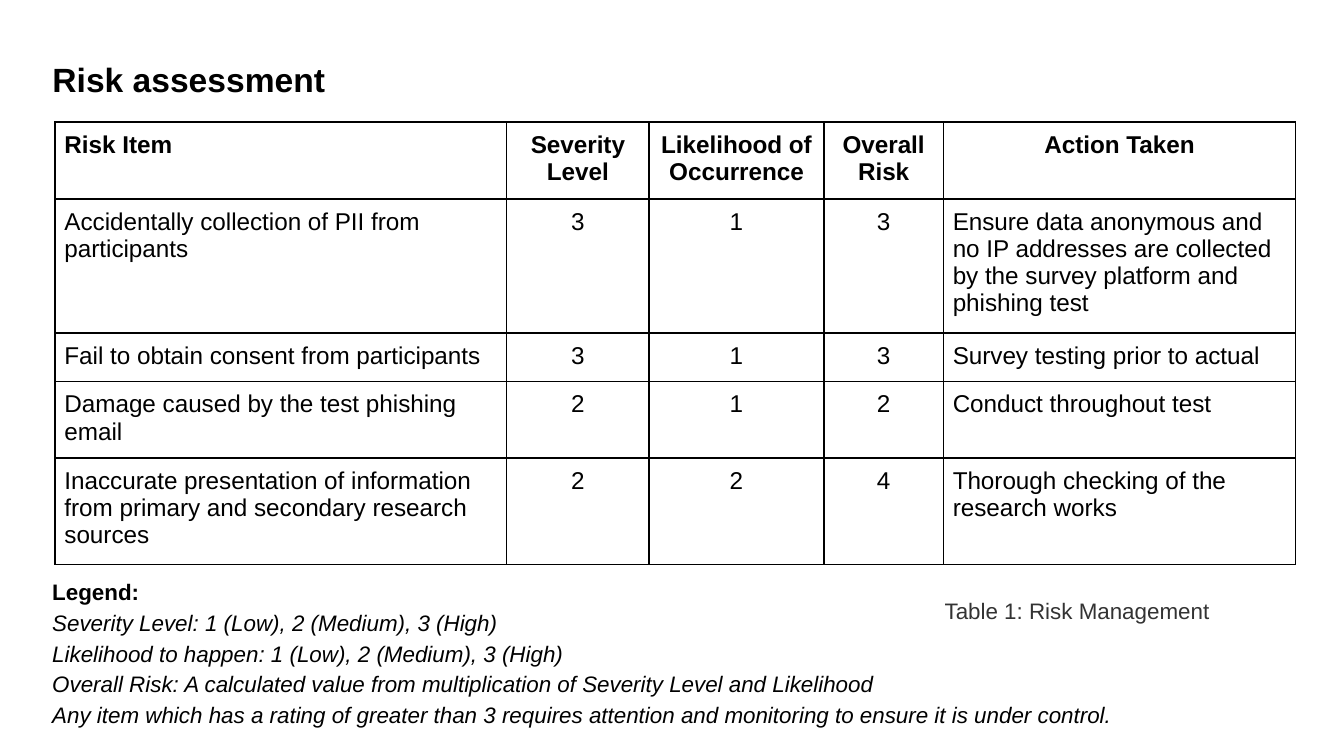
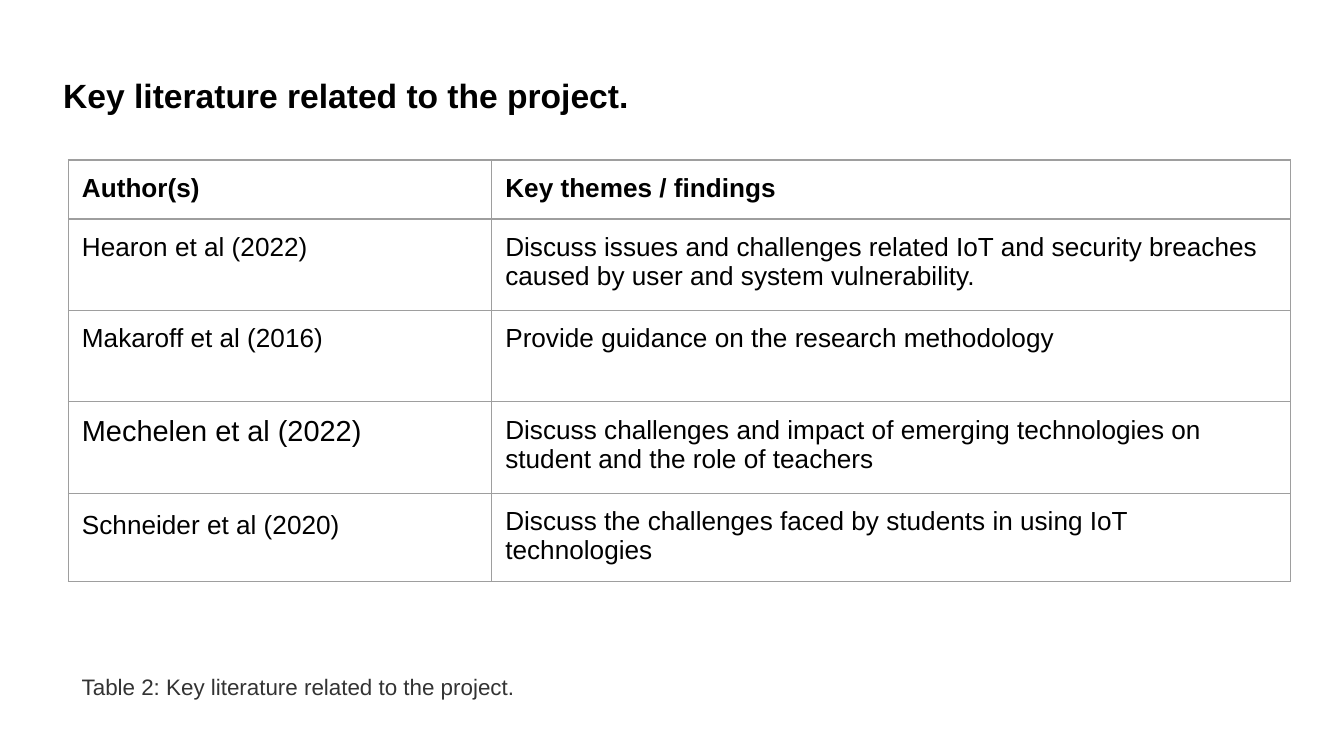
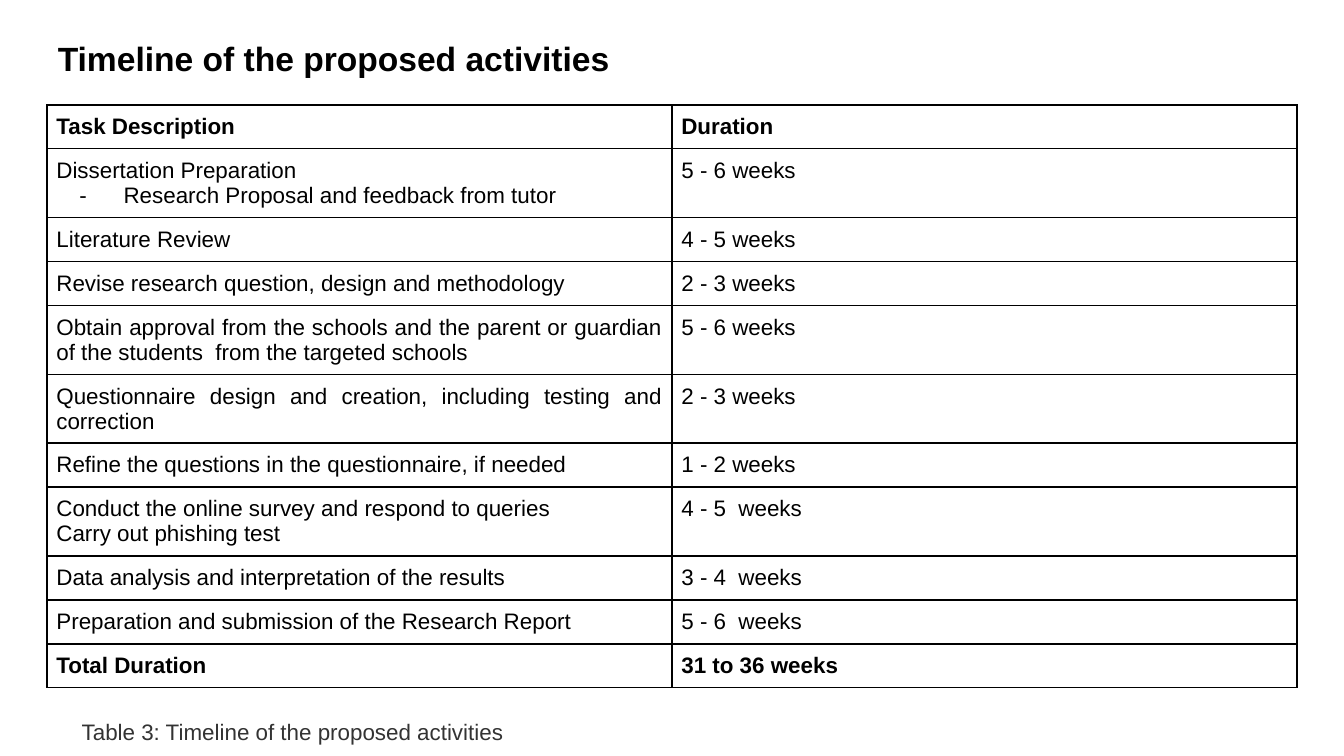
from lxml.etree import SubElement
from pptx import Presentation
from pptx.dml.color import RGBColor
from pptx.enum.text import MSO_ANCHOR as ANCHOR, MSO_AUTO_SIZE as AUTO, PP_ALIGN as AL
from pptx.oxml.ns import qn
from pptx.util import Inches, Pt

FONT = "Arial"
BLACK = RGBColor(0x00, 0x00, 0x00)
CAPTION_GREY = RGBColor(0x33, 0x33, 0x33)
BORDER_GREY = RGBColor(0x9E, 0x9E, 0x9E)
PADDING = 0.1
LINE_SPACING = 1.15

RISKS = [
    ("Risk Item", "Severity\nLevel", "Likelihood of Occurrence", "Overall Risk", "Action Taken"),
    ("Accidentally collection of PII from participants", "3", "1", "3",
     "Ensure data anonymous and no IP addresses are collected by the survey platform "
     "and phishing test"),
    ("Fail to obtain consent from participants", "3", "1", "3", "Survey testing prior to actual"),
    ("Damage caused by the test phishing email", "2", "1", "2", "Conduct throughout test"),
    ("Inaccurate presentation of information from primary and secondary research sources",
     "2", "2", "4", "Thorough checking of the research works"),
]
LEGEND = [
    "Legend:",
    "Severity Level: 1 (Low), 2 (Medium), 3 (High)",
    "Likelihood to happen: 1 (Low), 2 (Medium), 3 (High)",
    "Overall Risk: A calculated value from multiplication of Severity Level and Likelihood",
    "Any item which has a rating of greater than 3 requires attention and monitoring "
    "to ensure it is under control.",
]
LITERATURE = [
    ("Author(s)", "Key themes / findings"),
    ("Hearon et al (2022)",
     "Discuss issues and challenges related IoT and security breaches caused by user "
     "and system vulnerability."),
    ("Makaroff et al (2016)", "Provide guidance on the research methodology"),
    ("Mechelen et al (2022)",
     "Discuss challenges and impact of emerging technologies on  student and the role of teachers"),
    ("Schneider et al (2020)",
     "Discuss the challenges faced by students in using IoT technologies"),
]
TIMELINE = [
    ("Task Description", "Duration"),
    ("Dissertation Preparation\nResearch Proposal and feedback from tutor", "5 - 6 weeks"),
    ("Literature Review", "4 - 5 weeks"),
    ("Revise research question, design and methodology", "2 - 3 weeks"),
    ("Obtain approval from the schools and the parent or guardian of the students  "
     "from the targeted schools", "5 - 6 weeks"),
    ("Questionnaire design and creation, including testing and correction", "2 - 3 weeks"),
    ("Refine the questions in the questionnaire, if needed", "1 - 2 weeks"),
    ("Conduct the online survey and respond to queries\nCarry out phishing test", "4 - 5  weeks"),
    ("Data analysis and interpretation of the results", "3 - 4  weeks"),
    ("Preparation and submission of the Research Report", "5 - 6  weeks"),
    ("Total Duration", "31 to 36 weeks"),
]


def format_text(tf, size, color=BLACK, bold=False, align=AL.LEFT, spacing=None):
    for p in tf.paragraphs:
        p.alignment = align
        if spacing:
            p.line_spacing = spacing
        for r in p.runs:
            r.font.name = FONT
            r.font.size = Pt(size)
            r.font.bold = bold
            r.font.color.rgb = color


def set_frame(tf, anchor=ANCHOR.TOP):
    tf.word_wrap = True
    tf.auto_size = AUTO.NONE
    tf.vertical_anchor = anchor
    tf.margin_left = tf.margin_right = tf.margin_top = tf.margin_bottom = Inches(PADDING)


def add_titled_slide(prs, text, box, anchor=ANCHOR.TOP):
    s = prs.slides.add_slide(prs.slide_layouts[5])
    title = s.shapes.title
    title.left, title.top, title.width, title.height = map(Inches, box)
    tf = title.text_frame
    tf.text = text
    set_frame(tf, anchor)
    format_text(tf, 18, bold=True, align=AL.JUSTIFY, spacing=LINE_SPACING)
    return s


def add_text(s, text, box, **style):
    tf = s.shapes.add_textbox(*map(Inches, box)).text_frame
    tf.text = text
    set_frame(tf)
    format_text(tf, 12, **style)
    return tf


def add_caption(s, text, box):
    add_text(s, text, box, color=CAPTION_GREY)


def set_borders(cell, color, width):
    tc_pr = cell._tc.get_or_add_tcPr()
    for side in ("a:lnL", "a:lnR", "a:lnT", "a:lnB"):
        ln = SubElement(tc_pr, qn(side), w=str(Pt(width)))
        fill = SubElement(ln, qn("a:solidFill"))
        SubElement(fill, qn("a:srgbClr"), val=str(color))


def add_dash(p):
    p_pr = p._p.get_or_add_pPr()
    p_pr.set("marL", str(Inches(0.5)))
    p_pr.set("indent", str(-Inches(0.33)))
    SubElement(p_pr, qn("a:buFont"), typeface=FONT)
    SubElement(p_pr, qn("a:buChar"), char="-")


def add_grid(s, rows, origin, widths, heights, size, padding, border=BLACK, line=1,
             align=AL.LEFT, bold_rows=(0,)):
    left, top = origin
    frame = s.shapes.add_table(len(rows), len(widths), Inches(left), Inches(top),
                               Inches(sum(widths)), Inches(sum(heights)))
    table = frame.table
    table.first_row = table.horz_banding = False
    for column, width in zip(table.columns, widths):
        column.width = Inches(width)
    for i, (values, height) in enumerate(zip(rows, heights)):
        table.rows[i].height = Inches(height)
        for cell, value in zip(table.rows[i].cells, values):
            cell.text_frame.text = value
            cell.margin_left = cell.margin_right = Inches(padding)
            cell.margin_top = cell.margin_bottom = Inches(padding)
            set_borders(cell, border, line)
            cell.fill.background()
            format_text(cell.text_frame, size, bold=i in bold_rows, align=align)
    return table


def build_risk_slide(prs):
    s = add_titled_slide(prs, "Risk assessment", (0.29, 0.29, 3.28, 0.5))
    table = add_grid(s, RISKS, (0.41, 0.91), (3.36, 1.06, 1.3, 0.89, 2.62),
                     (0.57, 1, 0.36, 0.57, 0.79), 13, 0.07)
    for i in range(len(RISKS)):
        for j in (1, 2, 3) if i else (1, 2, 3, 4):
            for p in table.cell(i, j).text_frame.paragraphs:
                p.alignment = AL.CENTER
    legend = add_text(s, "\n".join(LEGEND), (0.29, 4.17, 8.42, 1.6),
                      align=AL.JUSTIFY, spacing=LINE_SPACING)
    heading, *notes = legend.paragraphs
    heading.runs[0].font.bold = True
    for p in notes:
        p.runs[0].font.italic = True
    add_caption(s, "Table 1: Risk Management", (6.93, 4.34, 2.49, 0.4))


def build_literature_slide(prs):
    s = add_titled_slide(prs, "Key literature related to the project.", (0.37, 0.41, 5.42, 0.5))
    table = add_grid(s, LITERATURE, (0.51, 1.19), (3.15, 5.94),
                     (0.44, 0.68, 0.68, 0.68, 0.66), 14, PADDING, BORDER_GREY, 0.75)
    format_text(table.cell(3, 0).text_frame, 15.5)
    format_text(table.cell(4, 0).text_frame, 14, align=AL.JUSTIFY, spacing=LINE_SPACING)
    add_caption(s, "Table 2: Key literature related to the project.", (0.51, 4.91, 5.2, 0.4))


def build_timeline_slide(prs):
    s = add_titled_slide(prs, "Timeline of the proposed activities",
                         (0.33, 0.24, 4.67, 0.34), ANCHOR.MIDDLE)
    two_line_rows = (1, 4, 5, 7)
    heights = [0.51 if i in two_line_rows else 0.32 for i in range(len(TIMELINE))]
    table = add_grid(s, TIMELINE, (0.35, 0.78), (4.65, 4.65), heights, 12, 0.07,
                     align=AL.JUSTIFY, bold_rows=(0, len(TIMELINE) - 1))
    add_dash(table.cell(1, 0).text_frame.paragraphs[1])
    add_caption(s, "Table 3: Timeline of the proposed activities", (0.51, 5.24, 5.2, 0.4))


def main():
    prs = Presentation()
    prs.slide_width = Inches(10)
    prs.slide_height = prs.slide_width * 9 // 16
    build_risk_slide(prs)
    build_literature_slide(prs)
    build_timeline_slide(prs)
    prs.save("out.pptx")


if __name__ == "__main__":
    main()
